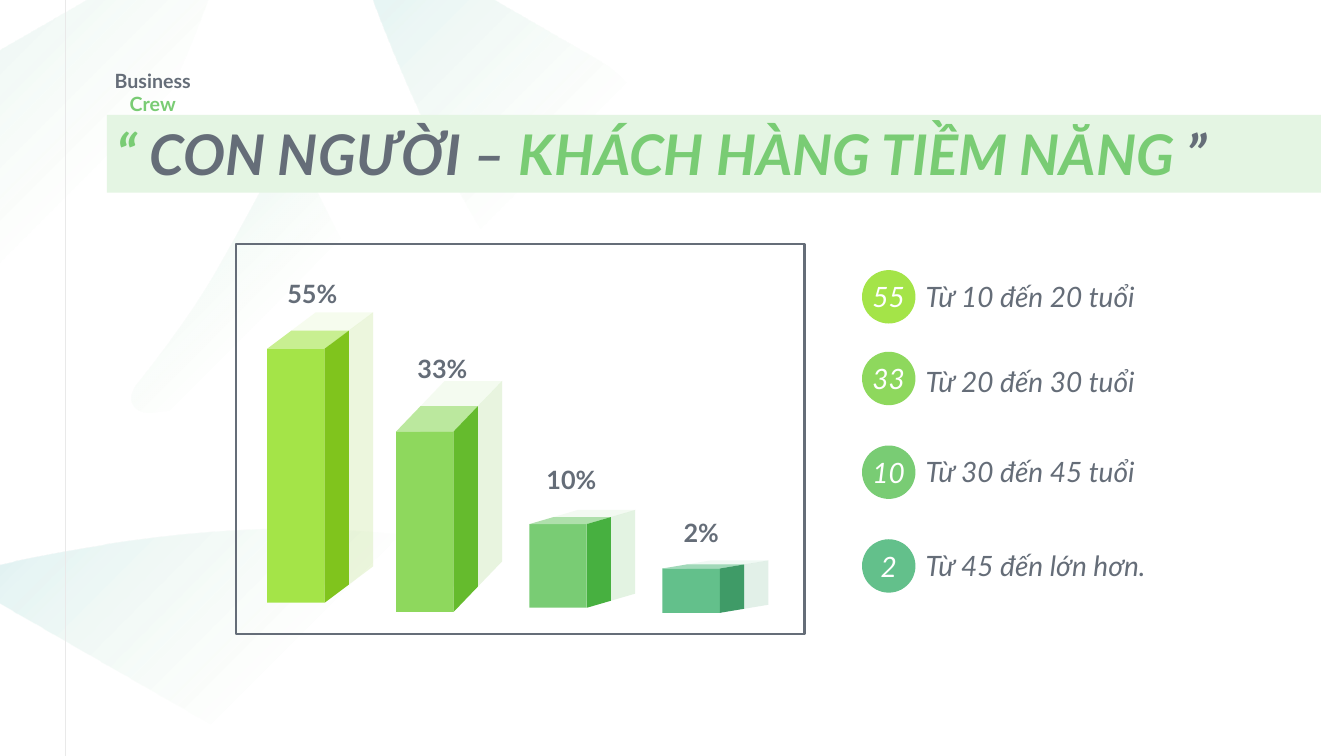
from lxml.etree import SubElement
from pptx import Presentation
from pptx.dml.color import RGBColor
from pptx.enum.shapes import MSO_CONNECTOR, MSO_SHAPE
from pptx.enum.text import MSO_ANCHOR, MSO_AUTO_SIZE, PP_ALIGN
from pptx.oxml import parse_xml
from pptx.oxml.ns import nsdecls, qn
from pptx.util import Inches, Pt

FONT = "Lato"
SLATE = RGBColor(0x65, 0x6D, 0x78)
GREEN = RGBColor(0x79, 0xCC, 0x74)
PALE_GREEN = RGBColor(0xE4, 0xF5, 0xE3)
RULE_GRAY = RGBColor(0xE9, 0xE9, 0xE9)
WHITE = RGBColor(0xFF, 0xFF, 0xFF)
LIME = RGBColor(0xA4, 0xE4, 0x48)
LIME_TOP = RGBColor(0xC8, 0xEF, 0x91)
LIME_SIDE = RGBColor(0x80, 0xC4, 0x1D)
GRASS = RGBColor(0x8E, 0xD8, 0x5D)
GRASS_TOP = RGBColor(0xBB, 0xE8, 0x9E)
GRASS_SIDE = RGBColor(0x65, 0xBB, 0x2D)
GREEN_TOP = RGBColor(0xAF, 0xE0, 0xAC)
GREEN_SIDE = RGBColor(0x47, 0xB0, 0x40)
JADE = RGBColor(0x63, 0xC0, 0x8B)
JADE_TOP = RGBColor(0xA1, 0xD9, 0xB9)
JADE_SIDE = RGBColor(0x3F, 0x9B, 0x67)

BAR_WIDTH, BAR_SHIFT, GHOST_ALPHA = 0.57, 0.24, 15
BARS = [
    (0.31, 1.04, 2.52, 0.18, "55%", (0.51, 0.27), (LIME, LIME_TOP, LIME_SIDE)),
    (1.59, 1.86, 1.79, 0.25, "33%", (1.80, 1.01), (GRASS, GRASS_TOP, GRASS_SIDE)),
    (2.91, 2.78, 0.83, 0.07, "10%", (3.08, 2.11), (GREEN, GREEN_TOP, GREEN_SIDE)),
    (4.23, 3.22, 0.44, 0.04, "2%", (4.44, 2.64), (JADE, JADE_TOP, JADE_SIDE)),
]
AGE_GROUPS = [
    (0, 0.01, "55", "Từ 10 đến 20 tuổi", LIME),
    (0.81, 0.85, "33", "Từ 20 đến 30 tuổi", GRASS),
    (1.74, 1.75, "10", "Từ 30 đến 45 tuổi", GREEN),
    (2.67, 2.68, "2", "Từ 45 đến lớn hơn.", JADE),
]
UPPER_PETAL = [
    [(3.53, -0.46)],
    [(3.74, 0.14), (4.13, 1.18), (4.72, 2.2)],
    [(5.13, 2.91), (5.76, 3.64), (6.26, 4.2)],
    [(6.42, 4.37), (6.67, 4.32), (6.66, 4.17)],
    [(6.67, 1.83)],
    [(6.67, 1.39), (6.34, 0.84), (5.96, 0.61)],
    [(3.79, -0.64)],
    [(3.68, -0.7), (3.49, -0.61), (3.53, -0.46)],
]
MIRRORED_PETAL = [[(5.76 - x, y) for x, y in segment] for segment in UPPER_PETAL]
LOWER_PETAL = [
    [(5.77, 5.61)],
    [(5.05, 5.44), (3.99, 5.24), (2.89, 5.24)],
    [(1.8, 5.24), (0.71, 5.44), (-0.05, 5.61)],
    [(-0.21, 5.66), (-0.2, 5.85), (-0.11, 5.92)],
    [(2.14, 7.21)],
    [(2.53, 7.44), (3.16, 7.44), (3.54, 7.22)],
    [(5.78, 5.93)],
    [(5.89, 5.87), (5.9, 5.65), (5.77, 5.61)],
]
CENTER_PETAL = [
    [(1.34, 3.82)],
    [(1.25, 3.97), (1.32, 4.09), (1.49, 4.09)],
    [(1.49, 4.09), (2.17, 4), (2.85, 4)],
    [(3.54, 4), (4.21, 4.09), (4.21, 4.09)],
    [(4.38, 4.09), (4.45, 3.97), (4.36, 3.82)],
    [(4.36, 3.82), (3.92, 3.32), (3.63, 2.83)],
    [(3.31, 2.27), (3.03, 1.67), (3.03, 1.67)],
    [(2.94, 1.52), (2.79, 1.52), (2.7, 1.67)],
    [(2.7, 1.67), (2.42, 2.21), (2.11, 2.74)],
    [(1.81, 3.25), (1.34, 3.82), (1.34, 3.82)],
]
PETAL_GRADIENT = (
    f'<a:gradFill {nsdecls("a")} rotWithShape="1"><a:gsLst>'
    '<a:gs pos="0"><a:srgbClr val="33796C"><a:alpha val="0"/></a:srgbClr></a:gs>'
    '<a:gs pos="48000"><a:srgbClr val="79CC74"><a:alpha val="0"/></a:srgbClr></a:gs>'
    '<a:gs pos="100000"><a:srgbClr val="37A8B8"><a:alpha val="16000"/></a:srgbClr></a:gs>'
    '</a:gsLst><a:path path="circle"><a:fillToRect l="100000" t="100000"/></a:path></a:gradFill>'
)


def paint(shape, color, alpha=100):
    """Give a shape a plain fill with no outline or shadow."""
    shape.shadow.inherit = False
    shape.line.fill.background()
    shape.fill.solid()
    shape.fill.fore_color.rgb = color
    if alpha < 100:
        color_element = shape.element.spPr.find(qn("a:solidFill")).find(qn("a:srgbClr"))
        SubElement(color_element, qn("a:alpha")).set("val", str(alpha * 1000))


def add_outline(slide, points):
    """Draw a closed outline through points in inches."""
    corners = [(Inches(x), Inches(y)) for x, y in points]
    builder = slide.shapes.build_freeform(*corners[0])
    builder.add_line_segments(corners[1:], close=True)
    return builder.convert_to_shape()


def flatten(segments, steps=12):
    """Turn straight and cubic segments into a list of points."""
    points = list(segments[0])
    for segment in segments[1:]:
        if len(segment) == 1:
            points += segment
            continue
        controls = [points[-1], *segment]
        for step in range(1, steps + 1):
            t = step / steps
            weights = ((1 - t) ** 3, 3 * t * (1 - t) ** 2, 3 * t * t * (1 - t), t ** 3)
            points.append(tuple(sum(w * c[axis] for w, c in zip(weights, controls)) for axis in (0, 1)))
    return points


def write_text(shape, text, size, color, **style):
    """Write one middle-anchored paragraph without insets."""
    frame = shape.text_frame
    frame.margin_left = frame.margin_right = frame.margin_top = frame.margin_bottom = 0
    frame.vertical_anchor = MSO_ANCHOR.MIDDLE
    frame.word_wrap = True
    paragraph = frame.paragraphs[0]
    paragraph.text = text
    paragraph.alignment = style.get("alignment", PP_ALIGN.LEFT)
    paragraph.line_spacing = style.get("spacing", 1.3)
    paragraph.font.name, paragraph.font.size = FONT, Pt(size)
    paragraph.font.bold, paragraph.font.italic = style.get("bold", False), style.get("italic", False)
    paragraph.font.color.rgb = color


def add_label(slide, box, text, size, **style):
    """Add a slate text box that grows with its text."""
    label = slide.shapes.add_textbox(*map(Inches, box))
    write_text(label, text, size, SLATE, **style)
    label.text_frame.auto_size = MSO_AUTO_SIZE.SHAPE_TO_FIT_TEXT


def add_colored_runs(paragraph, runs):
    """Add text runs that differ only in colour."""
    for text, color in runs:
        run = paragraph.add_run()
        run.text = text
        run.font.color.rgb = color


def add_backdrop(slide, rule_left, height):
    """Draw the faint petals and the vertical rule."""
    for petal in (UPPER_PETAL, LOWER_PETAL, CENTER_PETAL, MIRRORED_PETAL):
        shape = add_outline(slide, flatten(petal))
        paint(shape, WHITE)
        properties = shape.element.spPr
        properties.replace(properties.find(qn("a:solidFill")), parse_xml(PETAL_GRADIENT))
    rule = slide.shapes.add_connector(
        MSO_CONNECTOR.STRAIGHT, Inches(rule_left), 0, Inches(rule_left), Inches(height))
    rule.line.color.rgb = RULE_GRAY
    rule.line.width = Pt(0.5)
    SubElement(rule.element.spPr, qn("a:effectLst"))


def add_heading(slide, left, top, width, height):
    """Format the title band and the label above it."""
    title = slide.shapes.title
    title.element.getparent().append(title.element)
    title.left, title.top, title.width, title.height = map(Inches, (left, top, width, height))
    title.fill.solid()
    title.fill.fore_color.rgb = PALE_GREEN
    title.text_frame.vertical_anchor = MSO_ANCHOR.TOP
    title.text_frame.auto_size = MSO_AUTO_SIZE.NONE
    paragraph = title.text_frame.paragraphs[0]
    paragraph.alignment = PP_ALIGN.LEFT
    paragraph.font.name, paragraph.font.size = FONT, Pt(40)
    paragraph.font.bold = paragraph.font.italic = True
    add_colored_runs(paragraph, [
        ("“", GREEN), (" CON NGƯỜI –", SLATE), (" KHÁCH HÀNG TIỀM NĂNG ", GREEN), ("”", SLATE)])

    label = slide.shapes.add_textbox(*map(Inches, (left - 0.27, top - 0.51, 1.45, 0.34)))
    label.text_frame.word_wrap = True
    paragraph = label.text_frame.paragraphs[0]
    paragraph.alignment = PP_ALIGN.CENTER
    paragraph.font.name, paragraph.font.size, paragraph.font.bold = FONT, Pt(14), True
    add_colored_runs(paragraph, [("Business", SLATE)])
    paragraph.add_line_break()
    add_colored_runs(paragraph, [("Crew", GREEN)])


def add_block(slide, left, top, height, rise, colors, alpha):
    """Draw the front, top and side of one bar."""
    front_color, top_color, side_color = colors
    right, back = left + BAR_WIDTH, top - rise
    front = slide.shapes.add_shape(
        MSO_SHAPE.RECTANGLE, *map(Inches, (left, top, BAR_WIDTH, height)))
    paint(front, front_color, alpha)
    lid = [(left + BAR_SHIFT, back), (left, top), (right, top), (right + BAR_SHIFT, back)]
    paint(add_outline(slide, lid), top_color, alpha)
    side = [(right + BAR_SHIFT, back), (right, top), (right, top + height),
            (right + BAR_SHIFT, back + height)]
    paint(add_outline(slide, side), side_color, alpha)


def add_bar_panel(slide, left, top, width, height):
    """Draw the framed bars with their ghosts and percentages."""
    for x, y, bar_height, rise, text, (label_x, label_y), colors in BARS:
        for shift, alpha in ((1, GHOST_ALPHA), (0, 100)):
            add_block(slide, left + x + shift * BAR_SHIFT, top + y - shift * rise,
                      bar_height, rise, colors, alpha)
        add_label(slide, (left + label_x, top + label_y, 0.57, 0.36), text, 18, bold=True)
    frame = slide.shapes.add_shape(
        MSO_SHAPE.RECTANGLE, *map(Inches, (left, top, width, height)))
    frame.shadow.inherit = False
    frame.fill.background()
    frame.line.color.rgb = SLATE
    frame.line.width = Pt(1.5)


def add_legend(slide, left, top, width):
    """List the age groups beside their numbered badges."""
    for badge_y, caption_y, number, caption, color in AGE_GROUPS:
        badge = slide.shapes.add_shape(
            MSO_SHAPE.ROUNDED_RECTANGLE, *map(Inches, (left, top + badge_y, 0.53, 0.53)))
        badge.adjustments[0] = 0.5
        paint(badge, color)
        write_text(badge, number, 20, WHITE, alignment=PP_ALIGN.CENTER, spacing=1.0, italic=True)
        add_label(slide, (left + 0.63, top + caption_y, width - 0.63, 0.4), caption, 20, italic=True)


def main():
    """Build and save the slide."""
    presentation = Presentation()
    presentation.slide_width, presentation.slide_height = Inches(13.33), Inches(7.5)
    slide = presentation.slides.add_slide(presentation.slide_layouts[5])
    add_backdrop(slide, 0.65, 7.5)
    add_heading(slide, 1.06, 1.14, 12.04, 0.77)
    add_bar_panel(slide, 2.34, 2.42, 5.64, 3.87)
    add_legend(slide, 8.55, 2.68, 4.36)
    presentation.save("out.pptx")


if __name__ == "__main__":
    main()
